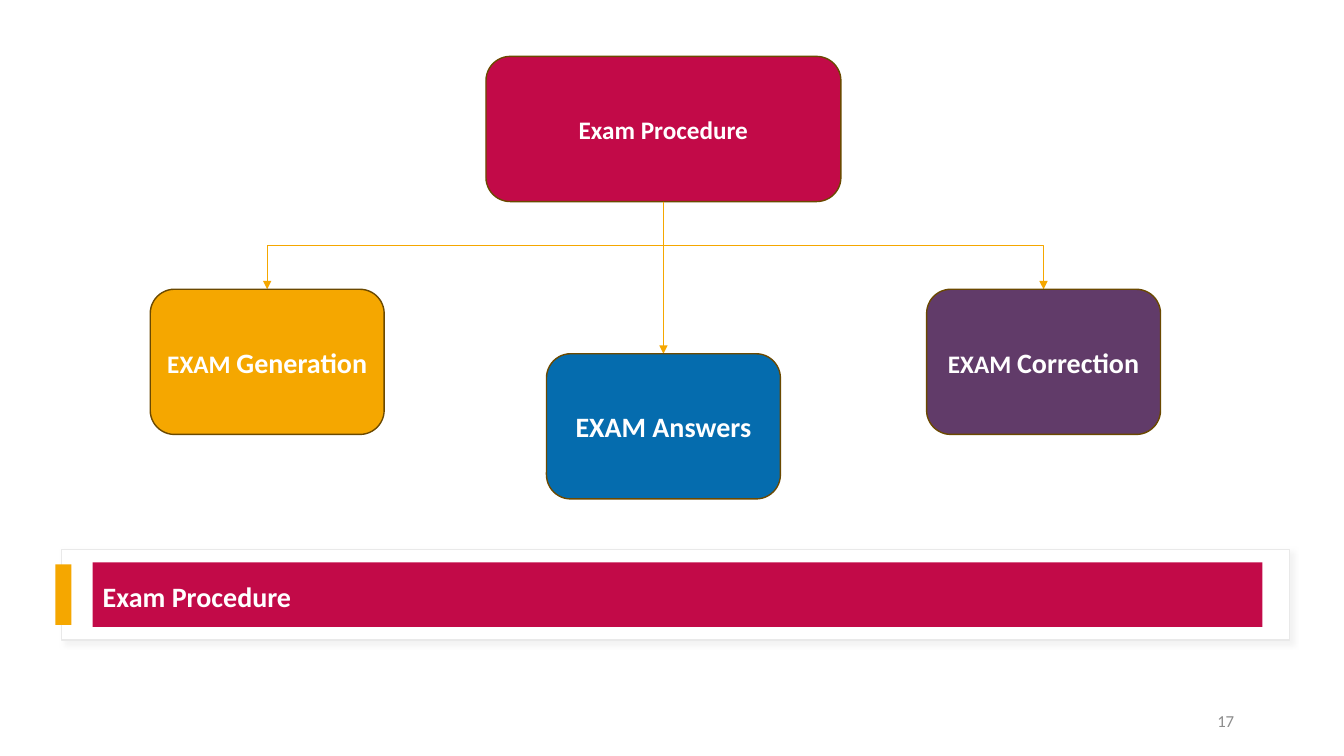
from dataclasses import dataclass

from lxml.etree import SubElement
from pptx import Presentation
from pptx.dml.color import RGBColor
from pptx.enum.shapes import MSO_CONNECTOR, MSO_SHAPE
from pptx.enum.text import MSO_ANCHOR, PP_ALIGN
from pptx.oxml.ns import qn
from pptx.util import Inches, Pt


@dataclass(frozen=True)
class Theme:
    """Colours, font and type sizes of the slide."""
    font: str = "Calibri"
    white: str = "FFFFFF"
    red: str = "C20A48"
    amber: str = "F5A700"
    blue: str = "056CAE"
    purple: str = "613B69"
    edge: str = "6B4900"
    frame: str = "E9E9E9"
    shade: str = "D9D9D9"
    grey: str = "8C8C8C"
    large: int = 20
    medium: int = 18
    small: int = 12


@dataclass(frozen=True)
class Run:
    """A piece of text with its type size."""
    text: str
    size: int


@dataclass(frozen=True)
class Node:
    """A rounded box placed by its centre line and top, in inches."""
    center: float
    top: float
    width: float
    fill: str
    runs: tuple[Run, ...]


T = Theme()
NODE_H = 1.44
CHILD_W = 2.32
ROOT = Node(6.58, 0.56, 3.52, T.red, (Run("Exam Procedure", T.medium),))
CHILDREN = (
    Node(2.65, 2.87, CHILD_W, T.amber, (Run("EXAM ", T.medium), Run("Generation", T.large))),
    Node(6.58, 3.51, CHILD_W, T.blue, (Run("EXAM Answers", T.large),)),
    Node(10.35, 2.87, CHILD_W, T.purple, (Run("EXAM ", T.medium), Run("Correction", T.large))),
)


def add_box(s, kind, box: tuple, fill: str, line: str = ""):
    """Draw a filled preset shape, outlined when a line colour is given."""
    sp = s.shapes.add_shape(kind, *map(Inches, box))
    sp.shadow.inherit = False
    sp.fill.solid()
    sp.fill.fore_color.rgb = RGBColor.from_string(fill)
    if line:
        sp.line.color.rgb = RGBColor.from_string(line)
        sp.line.width = Pt(1)
    else:
        sp.line.fill.background()
    return sp


def add_text(sp, runs: tuple[Run, ...], align, color: str = T.white, bold: bool = True,
             wrap: bool = True):
    """Write runs into a shape and return their paragraph."""
    tf = sp.text_frame
    tf.word_wrap, tf.vertical_anchor = wrap, MSO_ANCHOR.MIDDLE
    p = tf.paragraphs[0]
    p.alignment = align
    for run in runs:
        r = p.add_run()
        r.text = run.text
        for key, value in {"name": T.font, "size": Pt(run.size), "bold": bold}.items():
            setattr(r.font, key, value)
        r.font.color.rgb = RGBColor.from_string(color)
    return p


def add_shadow(sp, color: str) -> None:
    """Give a shape a soft shadow towards the lower right."""
    effects = sp._element.spPr.find(qn("a:effectLst"))
    shadow = SubElement(effects, qn("a:outerShdw"), blurRad=str(Pt(4)), dist=str(Pt(3)),
                        dir="2700000", algn="tl", rotWithShape="0")
    clr = SubElement(shadow, qn("a:srgbClr"), val=color)
    SubElement(clr, qn("a:alpha"), val="30000")


def add_node(s, node: Node) -> None:
    """Draw one labelled box of the diagram."""
    box = (node.center - node.width / 2, node.top, node.width, NODE_H)
    sp = add_box(s, MSO_SHAPE.ROUNDED_RECTANGLE, box, node.fill, T.edge)
    add_text(sp, node.runs, PP_ALIGN.CENTER, wrap=False)


def add_arrow(s, start: Node, end: Node) -> None:
    """Join the bottom of one node to the top of another."""
    x1, y1, x2, y2 = start.center, start.top + NODE_H, end.center, end.top
    kind = MSO_CONNECTOR.STRAIGHT if x1 == x2 else MSO_CONNECTOR.ELBOW
    cn = s.shapes.add_connector(kind, *map(Inches, (x1, y1, x2, y2)))
    if x1 != x2:
        run, drop = abs(x2 - x1), y2 - y1
        box = {"left": (x1 + x2 - drop) / 2, "top": (y1 + y2 - run) / 2,
               "width": drop, "height": run}
        for key, value in box.items():
            setattr(cn, key, Inches(value))
        xfrm = cn._element.spPr.find(qn("a:xfrm"))
        xfrm.attrib.pop("flipH", None)
        turn = {"rot": "5400000"} if x2 < x1 else {"rot": "16200000", "flipH": "1"}
        for key, value in turn.items():
            xfrm.set(key, value)
    cn.line.color.rgb = RGBColor.from_string(T.amber)
    cn.line.width = Pt(0.5)
    SubElement(cn.line._get_or_add_ln(), qn("a:tailEnd"), type="triangle")
    SubElement(cn._element.spPr, qn("a:effectLst"))


def add_title(s) -> None:
    """Draw the framed title bar."""
    frame = add_box(s, MSO_SHAPE.RECTANGLE, (0.61, 5.45, 12.18, 0.9), T.white, T.frame)
    add_shadow(frame, T.shade)
    add_box(s, MSO_SHAPE.RECTANGLE, (0.55, 5.6, 0.16, 0.6), T.amber)
    bar = add_box(s, MSO_SHAPE.RECTANGLE, (0.92, 5.58, 11.6, 0.64), T.red)
    p = add_text(bar, (Run("Exam Procedure", T.large),), PP_ALIGN.LEFT)
    p.line_spacing = 1.1


def main() -> None:
    """Build and save the slide."""
    prs = Presentation()
    prs.slide_width, prs.slide_height = Inches(13.33), Inches(7.5)
    s = prs.slides.add_slide(prs.slide_layouts[6])
    add_title(s)
    number = s.shapes.add_textbox(*map(Inches, (9.34, 6.95, 3, 0.4)))
    add_text(number, (Run("17", T.small),), PP_ALIGN.RIGHT, T.grey, bold=False)
    add_node(s, ROOT)
    for child in CHILDREN:
        add_arrow(s, ROOT, child)
        add_node(s, child)
    prs.save("out.pptx")


if __name__ == "__main__":
    main()
